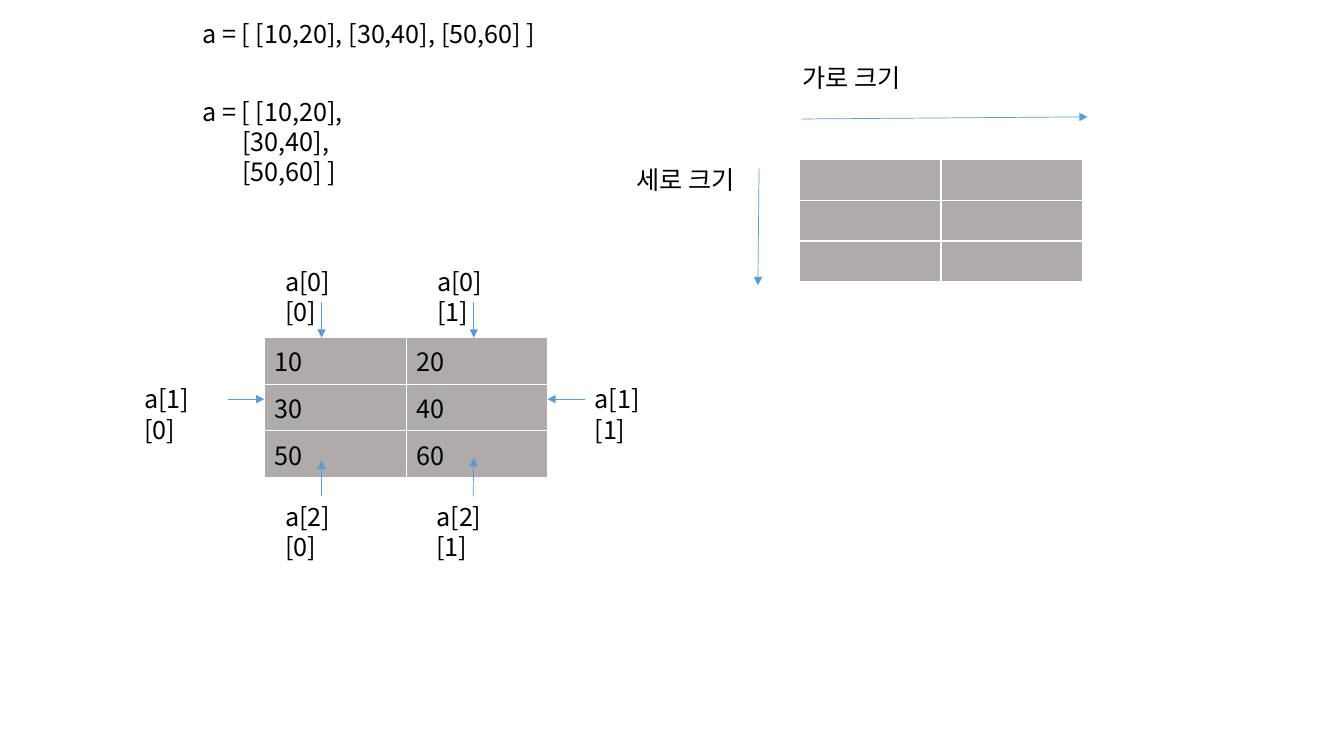
from lxml import etree
from pptx import Presentation
from pptx.dml.color import RGBColor
from pptx.enum.shapes import MSO_CONNECTOR
from pptx.enum.text import MSO_AUTO_SIZE
from pptx.oxml.ns import qn
from pptx.util import Pt

STRAIGHT = MSO_CONNECTOR.STRAIGHT
GROW = MSO_AUTO_SIZE.SHAPE_TO_FIT_TEXT
BLACK = RGBColor(0x00, 0x00, 0x00)
GRAY = RGBColor(0xAF, 0xAB, 0xAB)
BLUE = RGBColor(0x5B, 0x9B, 0xD5)


class ArraySlide:
    font_name = "Noto Sans CJK KR"
    font_format = {"name": font_name, "size": Pt(18), "bold": False}
    frame_format = {"word_wrap": True, "auto_size": GROW}
    line_spacing = Pt(21.5)
    column_width = Pt(101.2)
    row_height = Pt(29.2)

    def __init__(self, slide):
        self.slide = slide

    def add_wording(self, paragraph, wording):
        run = paragraph.add_run()
        run.text = wording
        for key, value in self.font_format.items():
            setattr(run.font, key, value)
        run.font.color.rgb = BLACK
        east_asian = etree.SubElement(run.font._element, qn("a:ea"))
        east_asian.set("typeface", self.font_name)

    def text(self, left, top, width, lines, indent=0):
        height = 7.2 + 21.6 * len(lines)
        box = self.slide.shapes.add_textbox(Pt(left), Pt(top), Pt(width), Pt(height))
        frame = box.text_frame
        for key, value in self.frame_format.items():
            setattr(frame, key, value)
        for number, wording in enumerate(lines):
            paragraph = frame.add_paragraph() if number else frame.paragraphs[0]
            paragraph.line_spacing = self.line_spacing
            if number and indent:
                paragraph._p.get_or_add_pPr().set("marL", str(Pt(indent)))
            self.add_wording(paragraph, wording)

    def table(self, left, top, rows):
        column_count = len(rows[0])
        grid = self.slide.shapes.add_table(
            len(rows), column_count, Pt(left), Pt(top),
            self.column_width * column_count, self.row_height * len(rows)).table
        for row, values in zip(grid.rows, rows):
            row.height = self.row_height
            for cell, value in zip(row.cells, values):
                cell.fill.solid()
                cell.fill.fore_color.rgb = GRAY
                if value is not None:
                    self.add_wording(cell.text_frame.paragraphs[0], str(value))

    def arrow(self, *ends):
        connector = self.slide.shapes.add_connector(STRAIGHT, *map(Pt, ends))
        connector.line.color.rgb = BLUE
        connector.line.width = Pt(0.5)
        tail = etree.SubElement(connector.line._get_or_add_ln(), qn("a:tailEnd"))
        tail.set("type", "triangle")
        etree.SubElement(connector._element.spPr, qn("a:effectLst"))


prs = Presentation()
prs.slide_width, prs.slide_height = Pt(960), Pt(540)
array_slide = ArraySlide(prs.slides.add_slide(prs.slide_layouts[6]))

array_slide.table(188.9, 241.2, [[10, 20], [30, 40], [50, 60]])

INDEX_LABELS = [
    (0, 0, 196.6, 186.5, (229.7, 216, 229.7, 241.2)),
    (0, 1, 305.3, 186.5, (338.4, 216, 338.4, 241.2)),
    (1, 0, 95.8, 270.7, (162.7, 285.1, 188.9, 285.1)),
    (2, 0, 196.6, 354.5, (229.7, 354.2, 229.7, 329)),
    (1, 1, 417.6, 270.7, (417.6, 285.1, 391, 285.1)),
    (2, 1, 304.6, 354.5, (338, 354.5, 338.4, 327)),
]
for row_index, column_index, left, top, ends in INDEX_LABELS:
    array_slide.text(left, top, 66, [f"a[{row_index}][{column_index}]"])
    array_slide.arrow(*ends)

array_slide.text(137.5, 9.4, 493, ["a = [ [10,20], [30,40], [50,60] ]"])
array_slide.text(137.5, 65.5, 493, ["a = [ [10,20],", "[30,40],", "[50,60] ]"], indent=28.6)

array_slide.table(571, 113.8, [[None] * 2] * 3)
array_slide.text(565.9, 41, 182.9, ["가로 크기"])
array_slide.arrow(572.4, 85, 776.9, 83.5)
array_slide.text(447.8, 113.8, 182.9, ["세로 크기"])
array_slide.arrow(542.2, 120.2, 541.4, 203.8)

prs.save("out.pptx")
